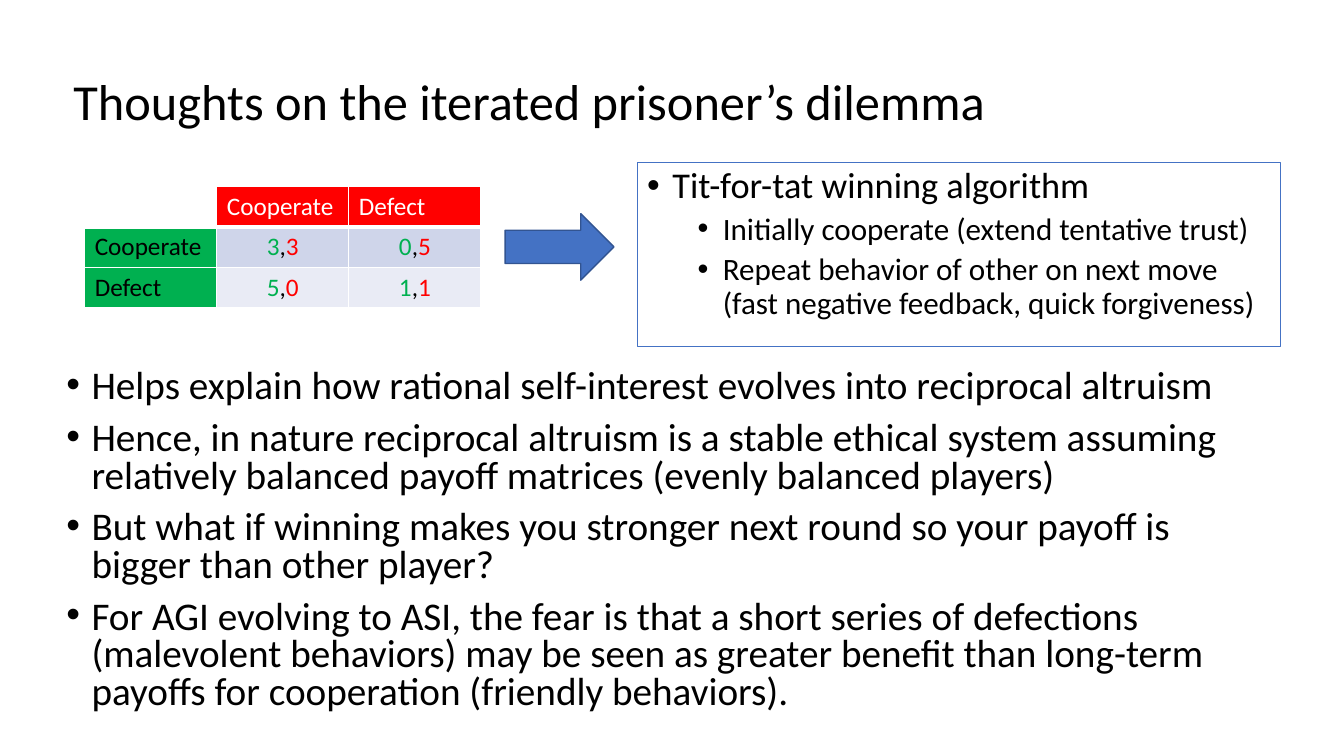
from lxml import etree
from pptx import Presentation
from pptx import util as u
from pptx.dml.color import RGBColor
from pptx.enum import shapes, text
from pptx.oxml.ns import qn

PX = 9144
FONT = "Calibri"
BLACK = RGBColor(0x00, 0x00, 0x00)
WHITE = RGBColor(0xFF, 0xFF, 0xFF)
RED = RGBColor(0xFF, 0x00, 0x00)
GREEN = RGBColor(0x00, 0xB0, 0x50)
BLUE = RGBColor(0x44, 0x72, 0xC4)
DARK_BLUE = RGBColor(0x32, 0x54, 0x91)
BANDS = [RGBColor(0xCF, 0xD5, 0xEA), RGBColor(0xE9, 0xEB, 0xF5)]

MOVES = ["Cooperate", "Defect"]
PAYOFFS = [["3,3", "0,5"], ["5,0", "1,1"]]
STRATEGY = [
    ("Tit-for-tat winning algorithm", 0),
    ("Initially cooperate (extend tentative trust)", 1),
    ("Repeat behavior of other on next move (fast negative feedback, quick forgiveness)", 1),
]
THOUGHTS = [
    "Helps explain how rational self-interest evolves into reciprocal altruism",
    "Hence, in nature reciprocal altruism is a stable ethical system assuming "
    "relatively balanced payoff matrices (evenly balanced players)",
    "But what if winning makes you stronger next round so your payoff is bigger than other player?",
    "For AGI evolving to ASI, the fear is that a short series of defections (malevolent behaviors) "
    "may be seen as greater benefit than long-term payoffs for cooperation (friendly behaviors).",
]


def emu(box):
    return [u.Emu(length * PX) for length in box]


def set_font(paragraph, size, color):
    paragraph.font.name = FONT
    paragraph.font.size = u.Pt(size)
    paragraph.font.color.rgb = color


def add_bullet(paragraph, wording, size, line_spacing, before, level=0):
    paragraph.add_run().text = wording
    paragraph.level = level
    paragraph.alignment = text.PP_ALIGN.LEFT
    paragraph.line_spacing = line_spacing
    paragraph.space_before = u.Pt(before)
    properties = paragraph._p.get_or_add_pPr()
    properties.set("marL", str((25 + 50 * level) * PX))
    properties.set("indent", str(-25 * PX))
    etree.SubElement(properties, qn("a:buFont"), typeface="Arial")
    etree.SubElement(properties, qn("a:buChar"), char="•")
    set_font(paragraph, size, BLACK)


def add_paragraph(frame, index):
    return frame.add_paragraph() if index else frame.paragraphs[0]


def add_title(slide, box):
    frame = slide.shapes.add_textbox(*emu(box)).text_frame
    frame.word_wrap = True
    frame.vertical_anchor = text.MSO_ANCHOR.MIDDLE
    heading = frame.paragraphs[0]
    heading.add_run().text = "Thoughts on the iterated prisoner’s dilemma"
    heading.line_spacing = 0.9
    set_font(heading, 36, BLACK)


def add_thoughts(slide, box):
    frame = slide.shapes.add_textbox(*emu(box)).text_frame
    frame.word_wrap = True
    for index, thought in enumerate(THOUGHTS):
        add_bullet(add_paragraph(frame, index), thought, 28, 0.8, 10)


def style_cell(cell, fill, bottom_width):
    cell.fill.solid()
    cell.fill.fore_color.rgb = fill
    properties = cell._tc.get_or_add_tcPr()
    widths = {"a:lnL": 1, "a:lnR": 1, "a:lnT": 1, "a:lnB": bottom_width}
    for index, (side, width) in enumerate(widths.items()):
        border = etree.Element(qn(side), w=str(u.Pt(width)))
        solid = etree.SubElement(border, qn("a:solidFill"))
        etree.SubElement(solid, qn("a:srgbClr"), val=str(WHITE))
        properties.insert(index, border)


def add_move(cell, move, color):
    label = cell.text_frame.paragraphs[0]
    label.add_run().text = move
    set_font(label, 18, color)


def add_payoff(cell, payoff):
    pair = cell.text_frame.paragraphs[0]
    pair.alignment = text.PP_ALIGN.CENTER
    set_font(pair, 18, BLACK)
    for part, color in zip(payoff, [GREEN, BLACK, RED]):
        run = pair.add_run()
        run.text = part
        run.font.color.rgb = color


def add_payoff_matrix(slide, box):
    matrix = slide.shapes.add_table(3, 3, *emu(box)).table
    style_cell(matrix.cell(0, 0), WHITE, 3)
    for index, move in enumerate(MOVES, 1):
        style_cell(matrix.cell(0, index), RED, 3)
        add_move(matrix.cell(0, index), move, WHITE)
        style_cell(matrix.cell(index, 0), GREEN, 1)
        add_move(matrix.cell(index, 0), move, BLACK)
    for row, (payoffs, band) in enumerate(zip(PAYOFFS, BANDS), 1):
        for column, payoff in enumerate(payoffs, 1):
            style_cell(matrix.cell(row, column), band, 1)
            add_payoff(matrix.cell(row, column), payoff)


def add_arrow(slide, box):
    arrow = slide.shapes.add_shape(shapes.MSO_SHAPE.RIGHT_ARROW, *emu(box))
    arrow.shadow.inherit = False
    arrow.fill.solid()
    arrow.fill.fore_color.rgb = BLUE
    arrow.line.color.rgb = DARK_BLUE
    arrow.line.width = u.Pt(1)


def add_strategy(slide, box):
    panel = slide.shapes.add_shape(shapes.MSO_SHAPE.RECTANGLE, *emu(box))
    panel.shadow.inherit = False
    panel.fill.background()
    panel.line.color.rgb = BLUE
    panel.line.width = u.Pt(0.75)
    frame = panel.text_frame
    frame.word_wrap = True
    frame.vertical_anchor = text.MSO_ANCHOR.TOP
    for index, (point, level) in enumerate(STRATEGY):
        size, before = [(25.9, 10), (22.2, 5)][level]
        add_bullet(add_paragraph(frame, index), point, size, 0.9, before, level)


def main():
    deck = Presentation()
    deck.slide_width, deck.slide_height = emu((1333, 750))
    slide = deck.slides.add_slide(deck.slide_layouts[6])
    add_title(slide, (63, 31, 1150, 145))
    add_thoughts(slide, (56, 362, 1214, 357))
    add_payoff_matrix(slide, (84, 185, 393, 120))
    add_arrow(slide, (501, 212, 108, 66))
    add_strategy(slide, (632, 161, 638, 183))
    deck.save("out.pptx")


if __name__ == "__main__":
    main()
